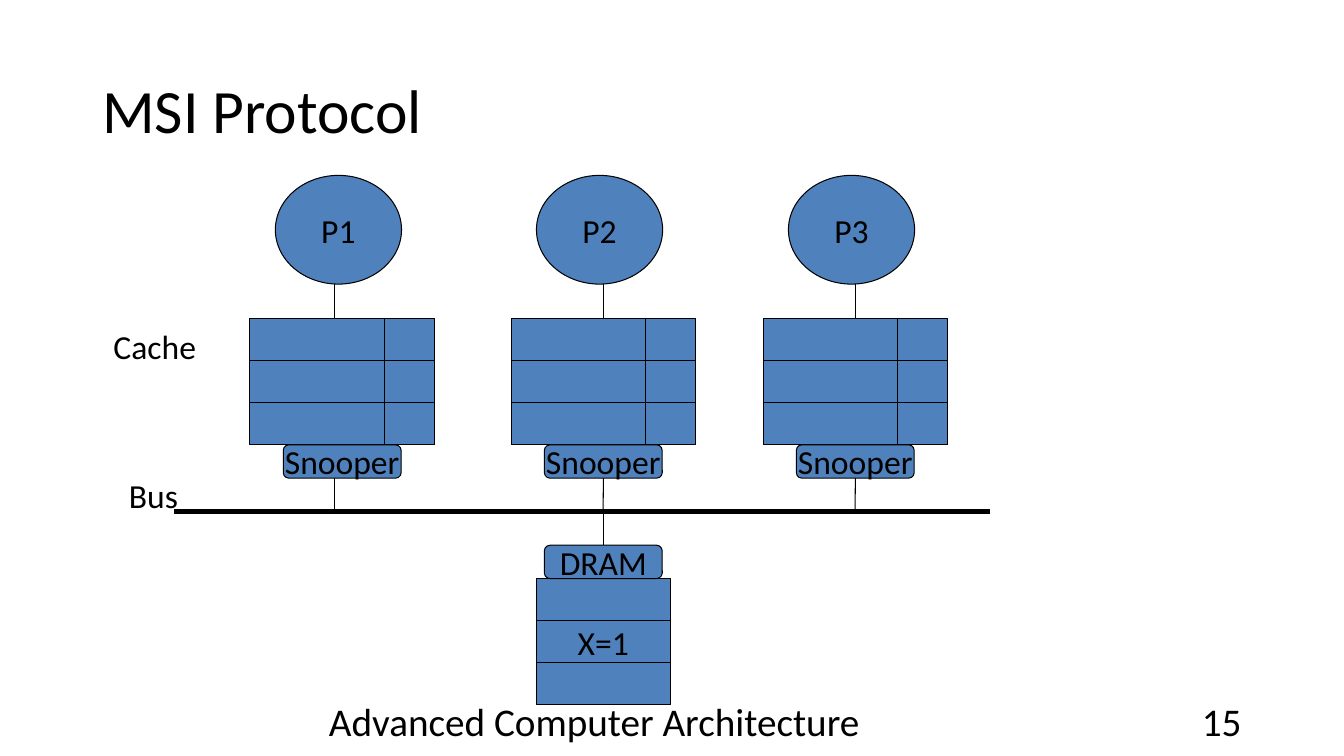
from dataclasses import dataclass

from lxml.etree import SubElement
from pptx import Presentation
from pptx.dml.color import RGBColor
from pptx.enum.shapes import MSO_CONNECTOR as Connector
from pptx.enum.shapes import MSO_SHAPE as Preset
from pptx.enum.text import MSO_ANCHOR as Anchor
from pptx.enum.text import PP_ALIGN as Align
from pptx.oxml.ns import qn
from pptx.shapes.autoshape import Shape
from pptx.shapes.connector import Connector as Line
from pptx.slide import Slide
from pptx.text.text import TextFrame
from pptx.util import Cm, Pt


@dataclass(frozen=True)
class Theme:
    font: str = "Calibri"
    ink: RGBColor = RGBColor(0x00, 0x00, 0x00)
    fill: RGBColor = RGBColor(0x4F, 0x81, 0xBD)
    title_size: float = 44
    footer_size: float = 28
    label_size: float = 24
    thin: float = 0.75
    thick: float = 3.25


@dataclass(frozen=True)
class Area:
    """A rectangle in centimetres."""
    left: float
    top: float
    width: float
    height: float


@dataclass(frozen=True)
class Processor:
    name: str
    left: float
    stem: float
    stem_is_centred: bool = True


@dataclass(frozen=True)
class Caption:
    text: str
    area: Area
    size: float
    align: Align = Align.LEFT
    anchor: Anchor = Anchor.MIDDLE
    line_spacing: float = 1.0


THEME = Theme()
PROCESSORS = [
    Processor("P1", 6.3, 2.13, stem_is_centred=False),
    Processor("P2", 12.88, 2.32),
    Processor("P3", 19.23, 2.32),
]
CAPTIONS = [
    Caption("MSI Protocol", Area(2.33, 1.01, 29.21, 3.68), THEME.title_size, line_spacing=0.9),
    Caption("Cache", Area(2.61, 8.1, 3.15, 1.28), THEME.label_size, anchor=Anchor.TOP),
    Caption("Bus", Area(3.0, 11.84, 2.06, 1.28), THEME.label_size, anchor=Anchor.TOP),
    Caption("Advanced Computer Architecture", Area(7.29, 17.65, 15.37, 1.02),
            THEME.footer_size, Align.CENTER),
    Caption("15", Area(23.92, 17.65, 7.62, 1.02), THEME.footer_size, Align.RIGHT),
]

CIRCLE_TOP, CIRCLE_WIDTH, CIRCLE_HEIGHT = 4.42, 3.18, 2.74
CIRCLE_INSET, CHIP_INSET = 0.64, 0.84
CACHE_TOP, ROW_HEIGHT, ROW_COUNT = 8.03, 1.06, 3
DATA_WIDTH, STATE_WIDTH = 3.39, 1.27
CHIP_WIDTH, CHIP_HEIGHT = 2.97, 0.84
SNOOPER_TOP = CACHE_TOP + ROW_COUNT * ROW_HEIGHT
BUS_LEFT, BUS_RIGHT, BUS_Y = 4.39, 24.94, 12.89
MEMORY_LEFT, DRAM_LEFT, DRAM_TOP = 13.51, 13.72, 13.74
MEMORY_ROWS = ["", "X=1", ""]
TOP_SIDE, BOTTOM_SIDE = 0, 2


def write(frame: TextFrame, text: str, size: float, align: Align, anchor: Anchor) -> None:
    frame.vertical_anchor = anchor
    para = frame.paragraphs[0]
    para.alignment = align
    span = para.add_run()
    span.text = text
    span.font.name = THEME.font
    span.font.size = Pt(size)
    span.font.color.rgb = THEME.ink


def add_caption(page: Slide, caption: Caption) -> None:
    area = caption.area
    box = page.shapes.add_textbox(Cm(area.left), Cm(area.top), Cm(area.width), Cm(area.height))
    box.text_frame.word_wrap = True
    write(box.text_frame, caption.text, caption.size, caption.align, caption.anchor)
    box.text_frame.paragraphs[0].line_spacing = caption.line_spacing


def add_block(page: Slide, preset: Preset, area: Area, text: str = "") -> Shape:
    block = page.shapes.add_shape(
        preset, Cm(area.left), Cm(area.top), Cm(area.width), Cm(area.height))
    block.shadow.inherit = False
    block.fill.solid()
    block.fill.fore_color.rgb = THEME.fill
    block.line.color.rgb = THEME.ink
    block.line.width = Pt(THEME.thin)
    if text:
        block.text_frame.word_wrap = False
        write(block.text_frame, text, THEME.label_size, Align.CENTER, Anchor.MIDDLE)
    return block


def add_chip(page: Slide, left: float, top: float, text: str) -> Shape:
    area = Area(left, top, CHIP_WIDTH, CHIP_HEIGHT)
    return add_block(page, Preset.ROUNDED_RECTANGLE, area, text)


def add_line(page: Slide, x1: float, y1: float, x2: float, y2: float,
             weight: float = THEME.thin) -> Line:
    line = page.shapes.add_connector(Connector.STRAIGHT, Cm(x1), Cm(y1), Cm(x2), Cm(y2))
    line.line.color.rgb = THEME.ink
    line.line.width = Pt(weight)
    SubElement(line._element.spPr, qn("a:effectLst"))
    return line


def add_processor(page: Slide, processor: Processor) -> None:
    """Draw a processor, its cache and its snooper, down to the bus."""
    left, stem = processor.left, processor.left + processor.stem
    circle = Area(left + CIRCLE_INSET, CIRCLE_TOP, CIRCLE_WIDTH, CIRCLE_HEIGHT)
    add_block(page, Preset.OVAL, circle, processor.name)
    add_line(page, stem, CIRCLE_TOP + CIRCLE_HEIGHT, stem, CACHE_TOP)
    for row in range(ROW_COUNT):
        top = CACHE_TOP + row * ROW_HEIGHT
        add_block(page, Preset.RECTANGLE, Area(left, top, DATA_WIDTH, ROW_HEIGHT))
        add_block(page, Preset.RECTANGLE, Area(left + DATA_WIDTH, top, STATE_WIDTH, ROW_HEIGHT))
    snooper = add_chip(page, left + CHIP_INSET, SNOOPER_TOP, "Snooper")
    drop = add_line(page, stem, SNOOPER_TOP + CHIP_HEIGHT, stem, BUS_Y)
    if processor.stem_is_centred:
        drop.begin_connect(snooper, BOTTOM_SIDE)


def add_memory(page: Slide) -> None:
    for row, text in enumerate(MEMORY_ROWS):
        top = DRAM_TOP + CHIP_HEIGHT + row * ROW_HEIGHT
        add_block(page, Preset.RECTANGLE, Area(MEMORY_LEFT, top, DATA_WIDTH, ROW_HEIGHT), text)
    dram = add_chip(page, DRAM_LEFT, DRAM_TOP, "DRAM")
    middle = DRAM_LEFT + CHIP_WIDTH / 2
    add_line(page, middle, BUS_Y, middle, DRAM_TOP).end_connect(dram, TOP_SIDE)


def main() -> None:
    deck = Presentation()
    deck.slide_width, deck.slide_height = Cm(33.87), Cm(19.05)
    page = deck.slides.add_slide(deck.slide_layouts[6])
    add_line(page, BUS_LEFT, BUS_Y, BUS_RIGHT, BUS_Y, THEME.thick)
    for processor in PROCESSORS:
        add_processor(page, processor)
    add_memory(page)
    for caption in CAPTIONS:
        add_caption(page, caption)
    deck.save("out.pptx")


if __name__ == "__main__":
    main()
